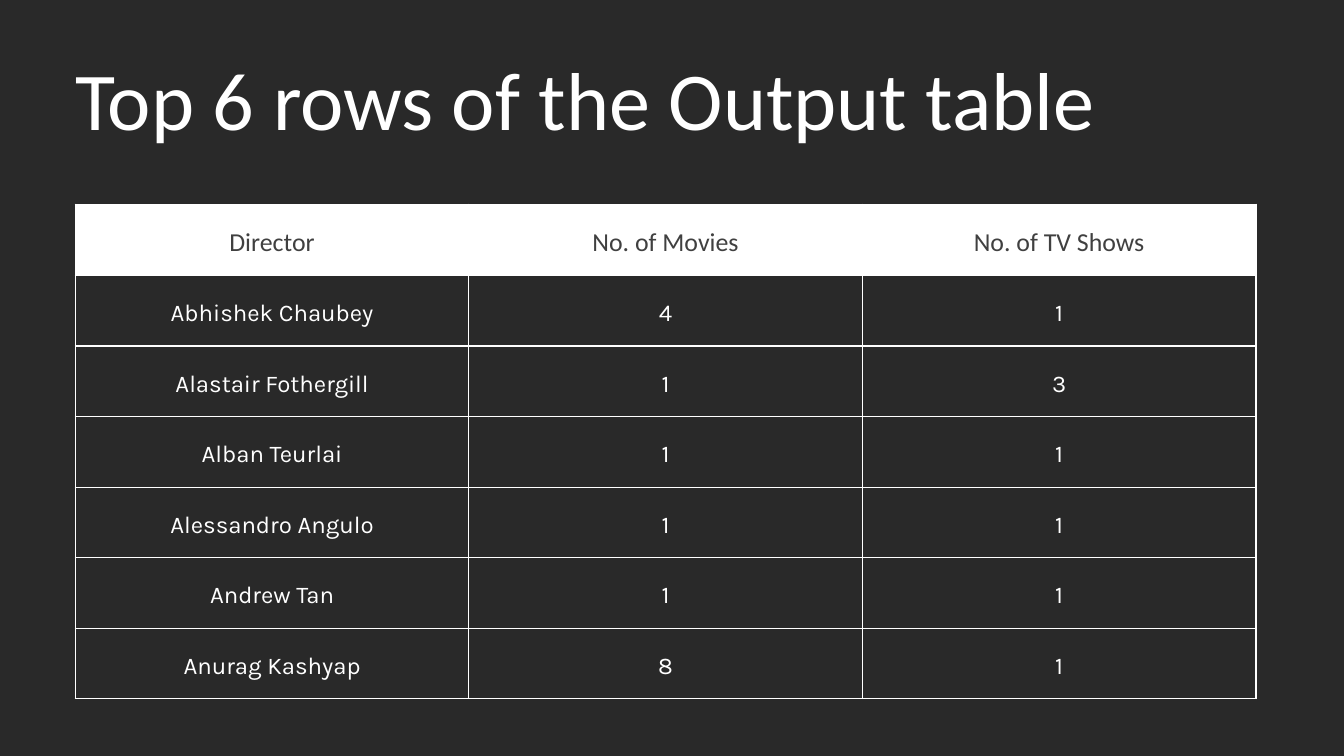
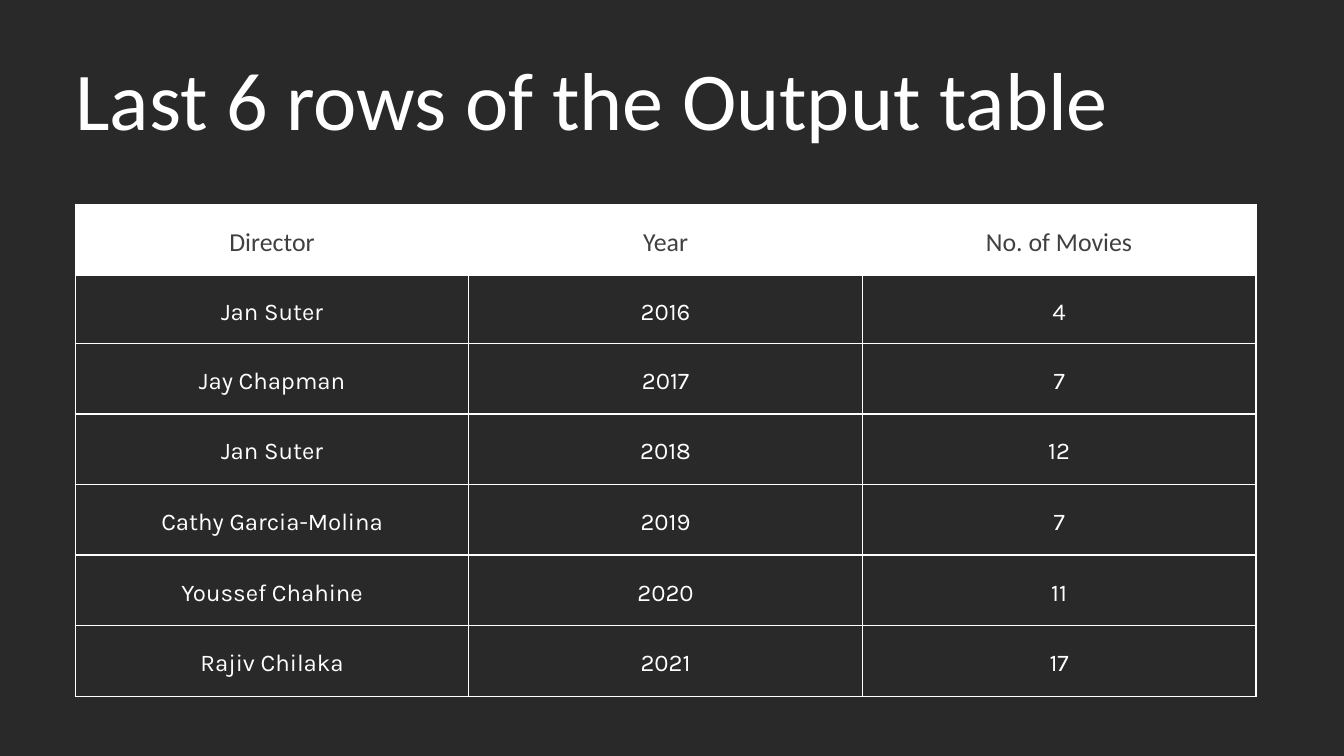
from lxml.etree import SubElement
from pptx import Presentation
from pptx.dml.color import RGBColor
from pptx.enum.text import MSO_ANCHOR, MSO_AUTO_SIZE, PP_ALIGN
from pptx.oxml.ns import qn
from pptx.util import Inches, Pt

DARK, WHITE, GREY = "292929", "FFFFFF", "404040"
TITLE_STYLE = ("Calibri", 88, WHITE, 105.6)
HEADER_STYLE = ("Calibri", 27.7, GREY, 38.8)
BODY_STYLE = ("Karla", 25.7, WHITE, 36)
TITLE_BOX = (1.12, 0.72, 17.78, 1.46)
TABLE_LEFT, TABLE_TOP, TABLE_WIDTH = 1.12, 3.04, 17.57
HEADER_HEIGHT, ROW_HEIGHT = 1.06, 1.05
CELL_MARGIN = 0.21
BORDER_PT = 1.5

SLIDES = [
    {
        "title": "Top 6 rows of the Output table",
        "rows": [
            ("Director", "No. of Movies", "No. of TV Shows"),
            ("Abhishek Chaubey", "4", "1"),
            ("Alastair Fothergill", "1", "3"),
            ("Alban Teurlai", "1", "1"),
            ("Alessandro Angulo", "1", "1"),
            ("Andrew Tan", "1", "1"),
            ("Anurag Kashyap", "8", "1"),
        ],
        "first_height": ROW_HEIGHT,
    },
    {
        "title": "Last 6 rows of the Output table",
        "rows": [
            ("Director", "Year", "No. of Movies"),
            ("Jan Suter", "2016", "4"),
            ("Jay Chapman", "2017", "7"),
            ("Jan Suter", "2018", "12"),
            ("Cathy Garcia-Molina", "2019", "7"),
            ("Youssef Chahine", "2020", "11"),
            ("Rajiv Chilaka", "2021", "17"),
        ],
        "first_height": 1.01,
    },
]


def paint(fill, color):
    fill.solid()
    fill.fore_color.rgb = RGBColor.from_string(color)


def write(tf, text, style, align):
    font, size, color, spacing = style
    p = tf.paragraphs[0]
    p.alignment = align
    p.line_spacing = Pt(spacing)
    r = p.add_run()
    r.text = text
    r.font.name = font
    r.font.size = Pt(size)
    paint(r.font.fill, color)


def set_margins(obj, size):
    for side in ("left", "right", "top", "bottom"):
        setattr(obj, f"margin_{side}", Inches(size))


def add_borders(cell):
    tc_pr = cell._tc.get_or_add_tcPr()
    for side in ("lnL", "lnR", "lnT", "lnB"):
        ln = SubElement(tc_pr, qn(f"a:{side}"), w=str(Pt(BORDER_PT)))
        solid = SubElement(ln, qn("a:solidFill"))
        SubElement(solid, qn("a:srgbClr"), val=WHITE)


def add_title(s, box, text):
    sp = s.shapes.title
    sp.left, sp.top, sp.width, sp.height = map(Inches, box)
    tf = sp.text_frame
    tf.word_wrap = True
    tf.auto_size = MSO_AUTO_SIZE.SHAPE_TO_FIT_TEXT
    tf.vertical_anchor = MSO_ANCHOR.TOP
    set_margins(tf, 0)
    write(tf, text, TITLE_STYLE, PP_ALIGN.LEFT)


def fill_cell(cell, text, is_header):
    add_borders(cell)
    if is_header:
        paint(cell.fill, WHITE)
    else:
        cell.fill.background()
    cell.vertical_anchor = MSO_ANCHOR.MIDDLE
    set_margins(cell, CELL_MARGIN)
    write(cell.text_frame, text, HEADER_STYLE if is_header else BODY_STYLE, PP_ALIGN.CENTER)


def add_output_table(s, left, top, width, heights, rows):
    n_cols = len(rows[0])
    box = map(Inches, (left, top, width, sum(heights)))
    table = s.shapes.add_table(len(rows), n_cols, *box).table
    table.first_row = table.horz_banding = False
    for col in table.columns:
        col.width = Inches(width / n_cols)
    for i, (height, values) in enumerate(zip(heights, rows)):
        table.rows[i].height = Inches(height)
        for j, value in enumerate(values):
            fill_cell(table.cell(i, j), value, i == 0)


def add_output_slide(prs, title, rows, first_height):
    s = prs.slides.add_slide(prs.slide_layouts.get_by_name("Title Only"))
    paint(s.background.fill, DARK)
    add_title(s, TITLE_BOX, title)
    heights = [HEADER_HEIGHT, first_height] + [ROW_HEIGHT] * (len(rows) - 2)
    add_output_table(s, TABLE_LEFT, TABLE_TOP, TABLE_WIDTH, heights, rows)


def main():
    prs = Presentation()
    prs.slide_width, prs.slide_height = Inches(20), Inches(11.25)
    for content in SLIDES:
        add_output_slide(prs, **content)
    prs.save("out.pptx")


if __name__ == "__main__":
    main()
